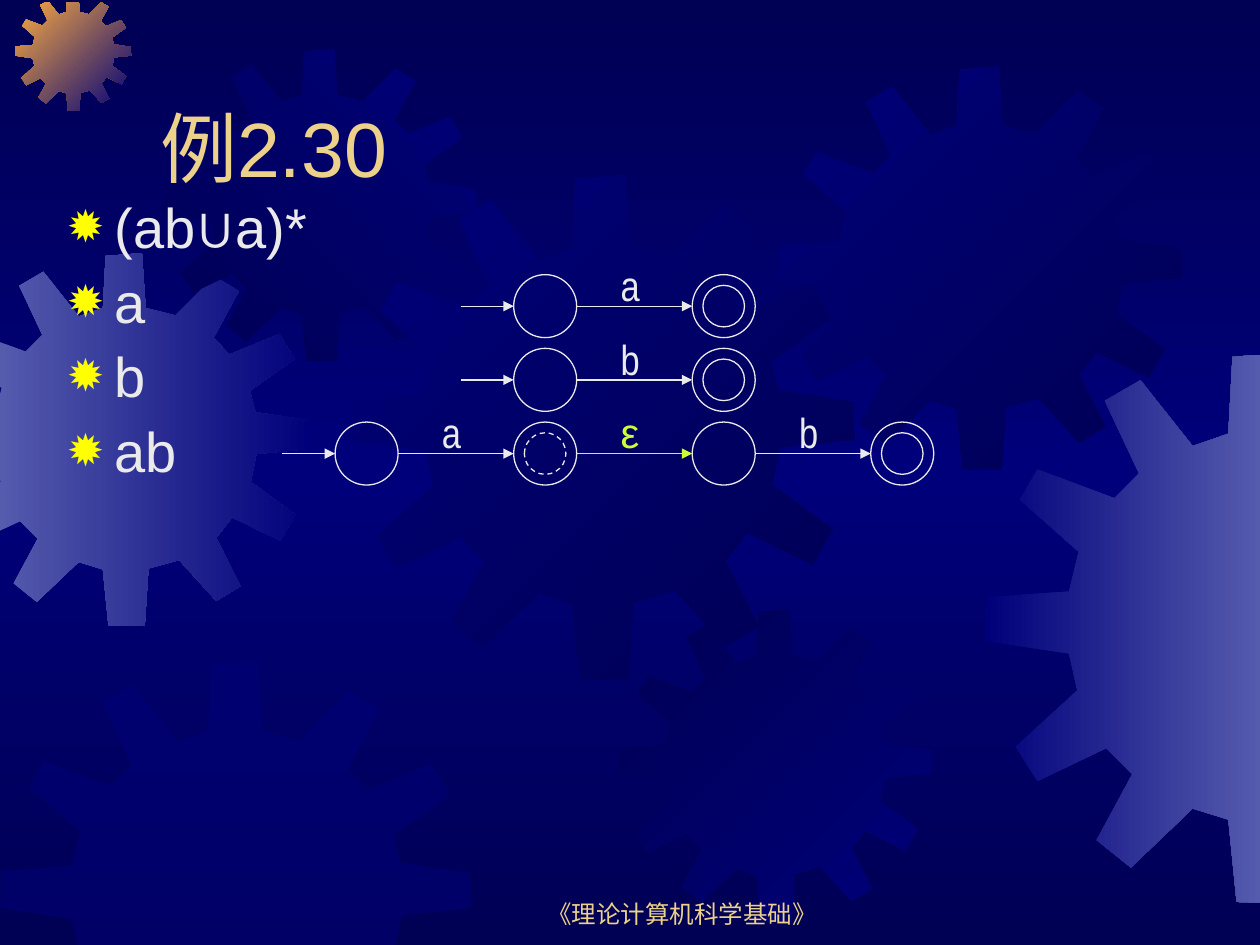
from copy import deepcopy
from dataclasses import dataclass

from lxml import etree
from pptx import Presentation
from pptx.dml.color import RGBColor
from pptx.enum.dml import MSO_LINE
from pptx.enum.shapes import MSO_CONNECTOR, MSO_SHAPE
from pptx.enum.text import MSO_ANCHOR, MSO_AUTO_SIZE, PP_ALIGN
from pptx.oxml.ns import qn
from pptx.util import Inches, Pt

DASH = MSO_LINE.DASH
STRAIGHT = MSO_CONNECTOR.STRAIGHT
OVAL = MSO_SHAPE.OVAL
BOTTOM, TOP = MSO_ANCHOR.BOTTOM, MSO_ANCHOR.TOP
FIXED, GROW = MSO_AUTO_SIZE.NONE, MSO_AUTO_SIZE.SHAPE_TO_FIT_TEXT
LEFT, CENTER = PP_ALIGN.LEFT, PP_ALIGN.CENTER

NAVY, BLUE, LILAC, ORANGE = "000054", "00007A", "555BAD", "FCAB40"
GOLD, PALE, LIME, YELLOW = "EBD189", "EAEAEA", "CCFF33", "FFFF00"

# Grid of automaton states: centre of column 0, row 0, and the pitches
GRID_X, GRID_Y, PITCH_X, PITCH_Y = 2.91, 2.43, 1.417, 0.585
STATE_SIZE, INNER_SIZE, ENTRY_LENGTH = 0.5, 0.33, 0.42

# One gear outline, in a square of GEAR_UNITS; the slide edges clip it
GEAR_UNITS = 401
GEAR = [
    (255, 67), (223, 59), (219, 0), (180, 3), (177, 59), (151, 68), (113, 20), (87, 35),
    (112, 88), (94, 106), (38, 85), (25, 107), (68, 145), (61, 174), (1, 178), (0, 210),
    (61, 219), (67, 246), (22, 287), (38, 312), (88, 288), (107, 307), (81, 355), (106, 375),
    (151, 332), (177, 340), (183, 400), (222, 401), (226, 339), (259, 330), (299, 374), (325, 358),
    (299, 306), (316, 284), (368, 309), (384, 281), (336, 246), (342, 216), (401, 210), (400, 180),
    (341, 171), (335, 148), (383, 114), (367, 87), (313, 109), (296, 91), (323, 41), (297, 25),
]
# Clip edges: axis, limit, side to keep
EDGES = [(0, -0.01, 1), (0, 10.01, -1), (1, 0.02, 1), (1, 7.54, -1)]


@dataclass
class Gear:
    left: float
    top: float
    size: float
    start: str
    end: str
    angle: int = 0
    opacity: int = 100


@dataclass
class Arc:
    row: int
    column: int
    label: str
    color: str = PALE
    font: str = "Arial Narrow"


@dataclass
class State:
    row: int
    column: int
    entry: bool = False
    inner: bool = False
    dashed: bool = False


GEARS = [
    Gear(-0.49, 2.01, 2.96, LILAC, BLUE),
    Gear(0.12, -0.04, 0.92, ORANGE, BLUE, 45),
    Gear(1.3, 0.39, 2.48, NAVY, BLUE, 315),
    Gear(2.77, 1.39, 4.01, BLUE, NAVY, 45),
    Gear(0, 5.25, 3.74, BLUE, BLUE, opacity=50),
    Gear(4.91, 4.84, 2.48, NAVY, BLUE, 45),
    Gear(6.18, 0.53, 3.2, BLUE, NAVY, 45),
    Gear(7.82, 2.8, 4.37, BLUE, LILAC),
]
STATES = [
    State(0, 1, entry=True), State(0, 2, inner=True),
    State(1, 1, entry=True), State(1, 2, inner=True),
    State(2, 0, entry=True), State(2, 1, inner=True, dashed=True),
    State(2, 2), State(2, 3, inner=True),
]
ARCS = [
    Arc(0, 1, "a"), Arc(1, 1, "b"), Arc(2, 0, "a"),
    Arc(2, 1, "ε", LIME, "Arial"), Arc(2, 2, "b"),
]


def rgb(color: str) -> RGBColor:
    return RGBColor.from_string(color)


def add_xml(parent, tag: str, **attributes: str):
    return etree.SubElement(parent, qn(tag), attributes)


def paint_gradient(fill, start: str, end: str, angle: int) -> None:
    fill.gradient()
    fill.gradient_angle = (360 - angle) % 360
    for stop, color, position in zip(fill.gradient_stops, (start, end), (0, 1)):
        stop.color.rgb = rgb(color)
        stop.position = position


def clip(points: list, axis: int, limit: float, side: int) -> list:
    """Keep the part of a polygon on one side of an edge."""
    kept = []
    for before, point in zip(points[-1:] + points[:-1], points):
        was_in, is_in = ((p[axis] - limit) * side >= 0 for p in (before, point))
        if was_in != is_in:
            share = (limit - before[axis]) / (point[axis] - before[axis])
            kept.append(tuple(b + share * (p - b) for b, p in zip(before, point)))
        if is_in:
            kept.append(point)
    return kept


def draw_gear(slide, gear: Gear) -> None:
    scale = gear.size / GEAR_UNITS
    points = [(gear.left + x * scale, gear.top + y * scale) for x, y in GEAR]
    for edge in EDGES:
        points = clip(points, *edge)
    corners = [(Inches(x), Inches(y)) for x, y in points]
    builder = slide.shapes.build_freeform(*corners[0], scale=1.0)
    builder.add_line_segments(corners[1:], close=True)
    shape = builder.convert_to_shape()
    shape.shadow.inherit = False
    shape.line.fill.background()
    if gear.opacity == 100:
        paint_gradient(shape.fill, gear.start, gear.end, gear.angle)
    else:
        shape.fill.solid()
        shape.fill.fore_color.rgb = rgb(gear.start)
        color = shape.element.spPr.find(".//" + qn("a:srgbClr"))
        add_xml(color, "a:alpha", val=str(gear.opacity * 1000))


def place(box, left: float, top: float, width: float, height: float) -> None:
    box.left, box.top, box.width, box.height = map(Inches, (left, top, width, height))


def write(box, lines: list[str], *, size: int, color: str, font: str = "Arial",
          align=LEFT, anchor=TOP, fit=FIXED, wrap: bool = True) -> None:
    frame = box.text_frame
    frame.text = "\n".join(lines)
    frame.word_wrap, frame.auto_size, frame.vertical_anchor = wrap, fit, anchor
    for para in frame.paragraphs:
        para.alignment = align
        for span in para.runs:
            span.font.size, span.font.name = Pt(size), font
            span.font.color.rgb = rgb(color)


def add_bullets(box) -> None:
    for para in box.text_frame.paragraphs:
        para.line_spacing, para.space_before = 0.9, Pt(8)
        props = para._p.get_or_add_pPr()
        props.set("marL", str(Inches(0.38)))
        props.set("indent", str(-Inches(0.38)))
        add_xml(add_xml(props, "a:buClr"), "a:srgbClr", val=YELLOW)
        add_xml(props, "a:buSzPct", val="80000")
        add_xml(props, "a:buChar", char="✹")


def centre(row: int, column: int) -> tuple[float, float]:
    return GRID_X + column * PITCH_X, GRID_Y + row * PITCH_Y


def draw_circle(slide, x: float, y: float, size: float, dashed: bool = False) -> None:
    corner = Inches(x - size / 2), Inches(y - size / 2)
    circle = slide.shapes.add_shape(OVAL, *corner, Inches(size), Inches(size))
    circle.shadow.inherit = False
    circle.fill.background()
    circle.line.color.rgb, circle.line.width = rgb(PALE), Pt(0.75)
    if dashed:
        circle.line.dash_style = DASH


def draw_arrow(slide, start: float, end: float, y: float, color: str = PALE) -> None:
    arrow = slide.shapes.add_connector(STRAIGHT, Inches(start), Inches(y), Inches(end), Inches(y))
    arrow.line.color.rgb, arrow.line.width = rgb(color), Pt(0.75)
    add_xml(arrow.line._get_or_add_ln(), "a:tailEnd", type="triangle")
    add_xml(arrow._element.spPr, "a:effectLst")


def draw_state(slide, state: State) -> None:
    x, y = centre(state.row, state.column)
    draw_circle(slide, x, y, STATE_SIZE)
    if state.inner:
        draw_circle(slide, x, y, INNER_SIZE, state.dashed)
    if state.entry:
        rim = x - STATE_SIZE / 2
        draw_arrow(slide, rim - ENTRY_LENGTH, rim, y)


def draw_arc(slide, arc: Arc) -> None:
    x, y = centre(arc.row, arc.column)
    draw_arrow(slide, x + STATE_SIZE / 2, x + PITCH_X - STATE_SIZE / 2, y, arc.color)
    label = slide.shapes.add_textbox(0, 0, 0, 0)
    place(label, x + 0.5, y - 0.42, 0.5, 0.5)
    write(label, [arc.label], size=24, color=arc.color, font=arc.font, fit=GROW)


def main() -> None:
    deck = Presentation()
    deck.slide_width, deck.slide_height = Inches(10), Inches(7.5)
    slide = deck.slides.add_slide(deck.slide_layouts[1])

    # Background: dark at both ends, lighter in the middle
    paint_gradient(slide.background.fill, NAVY, BLUE, 90)
    stops = slide.element.find(".//" + qn("a:gsLst"))
    stops[1].set("pos", "50000")
    last = deepcopy(stops[0])
    last.set("pos", "100000")
    stops.append(last)
    for gear in GEARS:
        draw_gear(slide, gear)

    # Title, list and footer, in front of the gears
    title, body = slide.shapes.title, slide.placeholders[1]
    for holder in (title, body):
        slide.shapes.element.append(holder.element)
    place(title, 1.17, 0.33, 8.5, 1.25)
    write(title, ["例2.30"], size=44, color=GOLD, anchor=BOTTOM)
    place(body, 0.43, 1.54, 8.5, 2.84)
    write(body, ["(ab∪a)*", "a", "b", "ab"], size=32, color=PALE)
    add_bullets(body)
    footer = slide.shapes.add_textbox(0, 0, 0, 0)
    place(footer, 3.83, 6.92, 3.17, 0.5)
    write(footer, ["《理论计算机科学基础》"], size=14, color=GOLD, align=CENTER, anchor=BOTTOM)

    # Automata
    for state in STATES:
        draw_state(slide, state)
    for arc in ARCS:
        draw_arc(slide, arc)
    deck.save("out.pptx")


if __name__ == "__main__":
    main()
